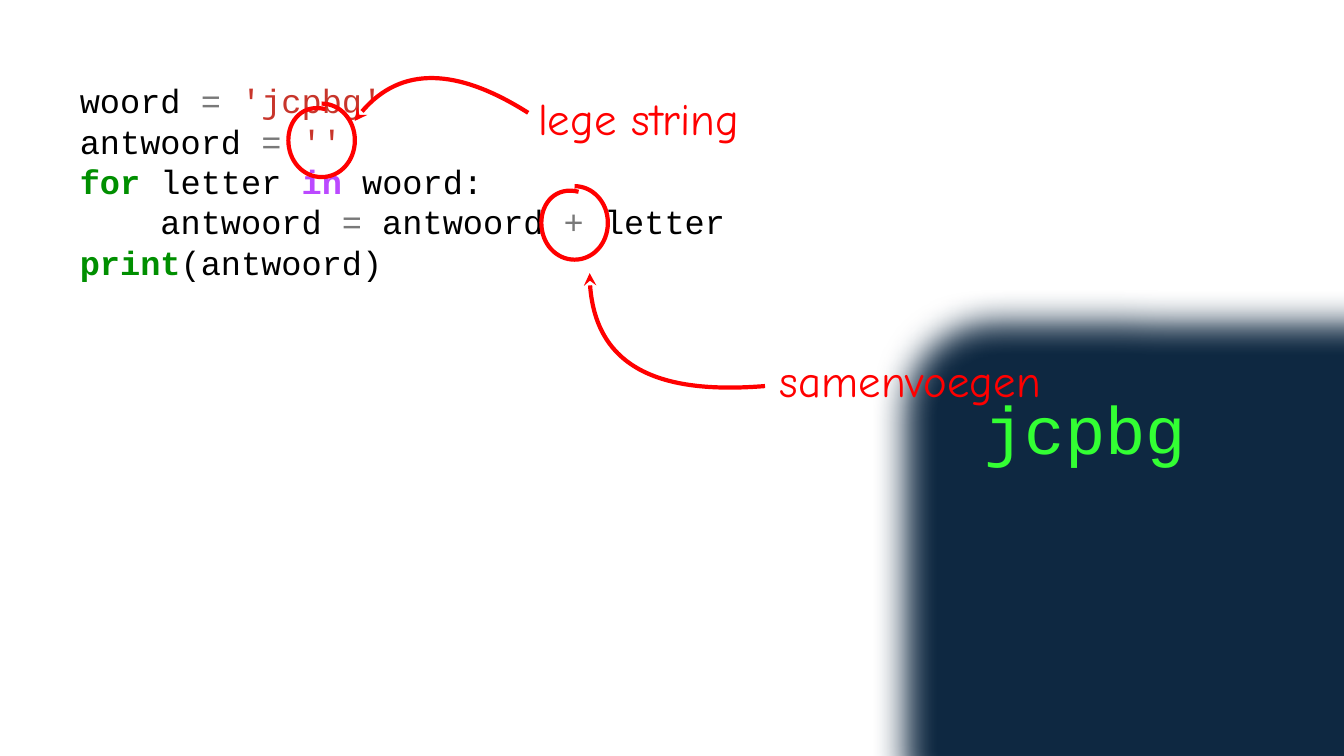
"""Slide on building a string letter by letter, with its annotated code and output screen."""
import pptx
import pptx.dml.color
import pptx.oxml
import pptx.oxml.ns
import pptx.util

Pt = pptx.util.Pt
RGBColor = pptx.dml.color.RGBColor
qn = pptx.oxml.ns.qn
SubElement = pptx.oxml.xmlchemy.OxmlElement

BLACK = RGBColor(0x00, 0x00, 0x00)
GREY = RGBColor(0x79, 0x79, 0x79)
BRICK = RGBColor(0xC8, 0x35, 0x2B)
GREEN = RGBColor(0x00, 0x8F, 0x00)
PURPLE = RGBColor(0xBB, 0x49, 0xFF)
RED = RGBColor(0xFF, 0x00, 0x00)
NAVY = RGBColor(0x0E, 0x28, 0x41)
BLUE = RGBColor(0x10, 0x47, 0x60)
LIME = RGBColor(0x33, 0xFF, 0x33)

CODE = [
    [("woord ", BLACK), ("= ", GREY), ("'jcpbg'", BRICK)],
    [("antwoord ", BLACK), ("= ", GREY), ("''", BRICK)],
    [("for", GREEN), (" letter ", BLACK), ("in", PURPLE), (" woord:", BLACK)],
    [("    antwoord ", BLACK), ("=", GREY), (" antwoord ", BLACK), ("+", GREY), (" letter", BLACK)],
    [("print", GREEN), ("(antwoord)", BLACK)],
]
RING = [(23.75, 0), [(37, 0), (47.5, 11.8), (47.5, 26.2)],
        [(47.5, 41), (37, 52.5), (23.75, 52.5)],
        [(10.5, 52.5), (0, 41), (0, 26.2)],
        [(0, 11.8), (10.5, 0), (26.6, 4)]]
SCREEN = [(623.5, 270), [(623.5, 235.3), (651.6, 206.9), (686.5, 206.9)],
          [(1144, 208)], [(1178.6, 208), (1157.8, 235.3), (1157.8, 270)],
          [(1157.8, 521.6)], [(1157.8, 556.4), (1129.7, 584.6), (1095, 584.6)],
          [(686.5, 584.6)], [(651.6, 584.6), (623.5, 601), (623.5, 566)], [(623.5, 270)]]
NOTES = [
    ("lege string", (377.3, 61.2, 211, 46), (206, 74),
     [(253.4, 86.4), [(280.8, 46.8), (326.2, 48.2), (377.3, 80.6)]]),
    ("samenvoegen", (550, 248.4, 274.3, 46), (386.7, 133),
     [(421.2, 195.1), [(421.2, 264.2), (475.9, 281.5), (546.5, 275.8)]]),
]


def add_outline(outline, color, width, left=0, top=0, closed=False):
    """Draw segments of one point (line) or three points (curve)."""
    start, *segments = outline
    builder = slide.shapes.build_freeform(Pt(start[0] + left), Pt(start[1] + top))
    for segment in segments:
        builder.add_line_segments([(Pt(x + left), Pt(y + top)) for x, y in segment], close=False)
    s = builder.convert_to_shape()
    steps = iter(s._element.findall(".//" + qn("a:lnTo")))
    for segment in segments:
        step = next(steps)
        if len(segment) == 3:
            curve = SubElement("a:cubicBezTo")
            step.addprevious(curve)
            for corner in (step, next(steps), next(steps)):
                curve.append(corner[0])
                corner.getparent().remove(corner)
    if closed:
        s._element.find(".//" + qn("a:path")).append(SubElement("a:close"))
    s.shadow.inherit = False
    s.fill.background()
    s.line.color.rgb = color
    s.line.width = Pt(width)
    return s


def add_text(box, lines, font, size):
    """Add a text box whose lines are lists of (text, colour) runs."""
    s = slide.shapes.add_textbox(*map(Pt, box))
    tf = s.text_frame
    tf.word_wrap = True
    for i, line in enumerate(lines):
        p = tf.paragraphs[0] if i == 0 else tf.add_paragraph()
        for text, color in line:
            r = p.add_run()
            r.text = text
            r.font.name = font
            r.font.size = Pt(size)
            r.font.color.rgb = color
            r.font.bold = color in (GREEN, PURPLE)
    return tf


prs = pptx.Presentation()
prs.slide_width, prs.slide_height = Pt(960), Pt(540)
slide = prs.slides.add_slide(prs.slide_layouts[6])

tf = add_text((0, 0, 960, 260), CODE, "Courier New", 24)
tf.margin_left = tf.margin_top = tf.margin_right = tf.margin_bottom = Pt(57)
for p in tf.paragraphs:
    p.line_spacing = Pt(28.9)

screen = add_outline(SCREEN, BLUE, 1.5, closed=True)
screen.fill.solid()
screen.fill.fore_color.rgb = NAVY
soft_edge = SubElement("a:softEdge")
soft_edge.set("rad", str(Pt(25)))
screen._element.spPr.find(qn("a:effectLst")).append(soft_edge)
add_text((696.2, 272.9, 407.5, 65.5), [[("jcpbg", LIME)]], "Courier New", 48)

for label, box, ring_corner, arrow in NOTES:
    add_outline(RING, RED, 3, *ring_corner)
    s = add_outline(arrow, RED, 3)
    head = SubElement("a:headEnd")
    head.set("type", "stealth")
    s.line._get_or_add_ln().append(head)
    add_text(box, [[(label, RED)]], "Comic Neue", 32)

prs.save("out.pptx")
